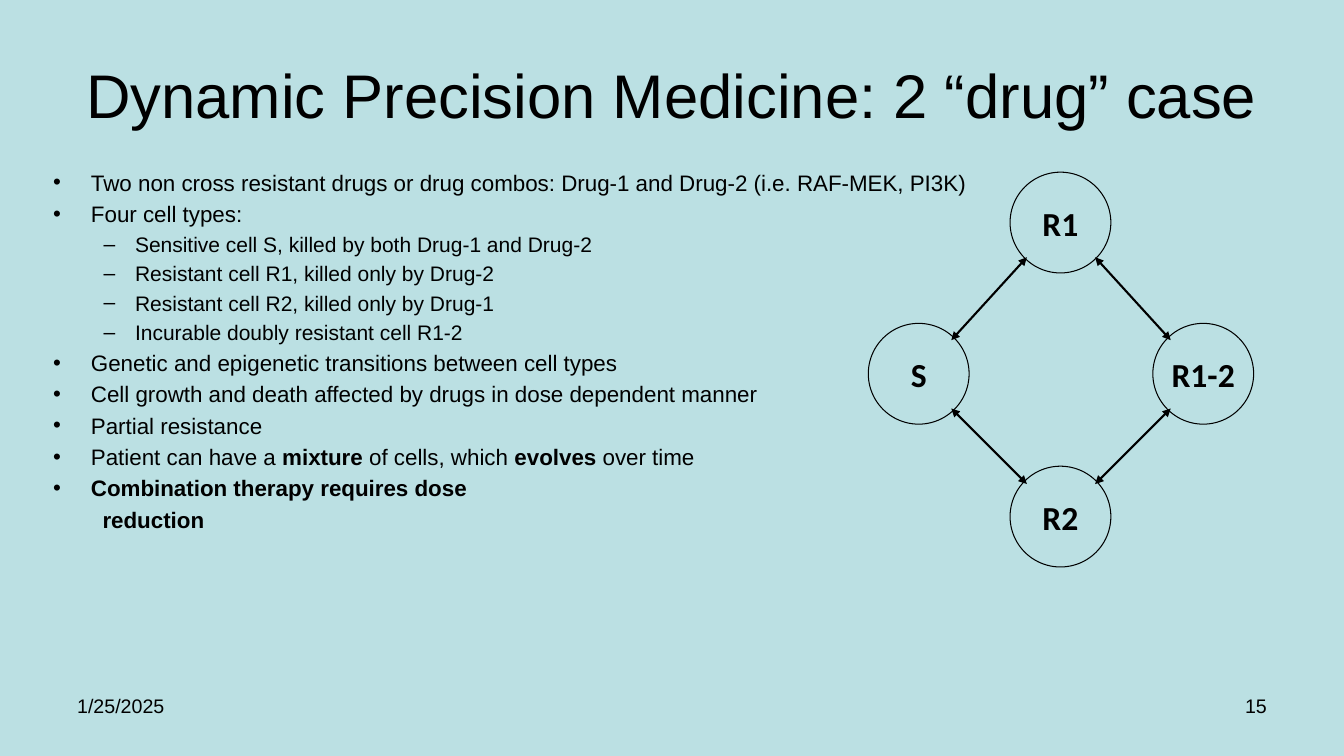
from dataclasses import dataclass

from lxml.etree import SubElement
from pptx import Presentation
from pptx.dml.color import RGBColor
from pptx.enum.shapes import MSO_CONNECTOR, MSO_SHAPE
from pptx.enum.text import MSO_ANCHOR, MSO_AUTO_SIZE, PP_ALIGN
from pptx.oxml.ns import qn
from pptx.shapes.base import BaseShape
from pptx.slide import Slide
from pptx.text.text import Font, TextFrame
from pptx.util import Emu, Pt

BACKGROUND = RGBColor(0xBB, 0xE0, 0xE3)
BLACK = RGBColor(0x00, 0x00, 0x00)
EMU_PER_PX = 9525
CELL_SIZE = 96


@dataclass(frozen=True)
class ListLevel:
    bullet: str
    margin: int
    indent: int
    size: int


@dataclass(frozen=True)
class ListItem:
    """A list line; text between asterisks is bold."""
    text: str
    level: ListLevel


@dataclass(frozen=True)
class Cell:
    label: str
    left: int
    top: int


@dataclass(frozen=True)
class Transition:
    start: tuple[int, int]
    end: tuple[int, int]


@dataclass(frozen=True)
class FooterText:
    text: str
    left: int
    alignment: PP_ALIGN


POINT = ListLevel("•", 36, -36, 16)
SUBPOINT = ListLevel("–", 78, -30, 15)
CONTINUATION = ListLevel("", 47, 0, 16)

TITLE = "Dynamic Precision Medicine: 2 “drug” case"
ITEMS = [
    ListItem("Two non cross resistant drugs or drug combos: "
             "Drug-1 and Drug-2 (i.e. RAF-MEK, PI3K)", POINT),
    ListItem("Four cell types:", POINT),
    ListItem("Sensitive cell S, killed by both Drug-1 and Drug-2", SUBPOINT),
    ListItem("Resistant cell R1, killed only by Drug-2", SUBPOINT),
    ListItem("Resistant cell R2, killed only by Drug-1", SUBPOINT),
    ListItem("Incurable doubly resistant cell R1-2", SUBPOINT),
    ListItem("Genetic and epigenetic transitions between cell types", POINT),
    ListItem("Cell growth and death affected by drugs in dose dependent manner", POINT),
    ListItem("Partial resistance", POINT),
    ListItem("Patient can have a *mixture *of cells, which *evolves *over time", POINT),
    ListItem("*Combination therapy requires dose*", POINT),
    ListItem("*reduction*", CONTINUATION),
]
CELLS = [
    Cell("S", 827, 308),
    Cell("R1", 962, 164),
    Cell("R2", 962, 444),
    Cell("R1-2", 1098, 308),
]
TRANSITIONS = [
    Transition((906, 324), (978, 245)),
    Transition((906, 389), (978, 461)),
    Transition((1043, 461), (1115, 389)),
    Transition((1043, 245), (1115, 324)),
]
FOOTERS = [
    FooterText("1/25/2025", 64, PP_ALIGN.LEFT),
    FooterText("15", 918, PP_ALIGN.RIGHT),
]


def px(length: int) -> Emu:
    return Emu(length * EMU_PER_PX)


def place(shape: BaseShape, left: int, top: int, width: int, height: int) -> None:
    shape.left, shape.top = px(left), px(top)
    shape.width, shape.height = px(width), px(height)


def style_font(font: Font, size: int, name: str = "Arial", bold: bool = False) -> None:
    font.name, font.size, font.bold = name, Pt(size), bold
    font.color.rgb = BLACK


def fill_title(slide: Slide) -> None:
    title = slide.shapes.title
    place(title, 64, 29, 1152, 120)
    frame = title.text_frame
    frame.text = TITLE
    frame.auto_size = MSO_AUTO_SIZE.NONE
    frame.vertical_anchor = MSO_ANCHOR.MIDDLE
    paragraph = frame.paragraphs[0]
    paragraph.alignment = PP_ALIGN.CENTER
    style_font(paragraph.runs[0].font, 44)


def add_item(frame: TextFrame, item: ListItem, first: bool) -> None:
    paragraph = frame.paragraphs[0] if first else frame.add_paragraph()
    level = item.level
    paragraph.level = 1 if level is SUBPOINT else 0
    if first:
        paragraph.space_before = Pt(0)
    properties = paragraph._p.get_or_add_pPr()
    properties.set("marL", str(px(level.margin)))
    properties.set("indent", str(px(level.indent)))
    if level.bullet:
        SubElement(properties, qn("a:buChar")).set("char", level.bullet)
    else:
        SubElement(properties, qn("a:buNone"))
    for index, part in enumerate(item.text.split("*")):
        if part:
            run = paragraph.add_run()
            run.text = part
            style_font(run.font, level.size, bold=index % 2 == 1)


def fill_body(slide: Slide) -> None:
    body = slide.placeholders[1]
    place(body, 41, 156, 1189, 438)
    frame = body.text_frame
    frame.auto_size = MSO_AUTO_SIZE.NONE
    frame.vertical_anchor = MSO_ANCHOR.TOP
    for index, item in enumerate(ITEMS):
        add_item(frame, item, first=index == 0)


def add_cell(slide: Slide, cell: Cell) -> None:
    circle = slide.shapes.add_shape(MSO_SHAPE.OVAL, px(cell.left), px(cell.top),
                                    px(CELL_SIZE), px(CELL_SIZE))
    circle.shadow.inherit = False
    circle.fill.solid()
    circle.fill.fore_color.rgb = BACKGROUND
    circle.line.color.rgb = BLACK
    circle.line.width = Pt(0.75)
    frame = circle.text_frame
    frame.text = cell.label
    frame.word_wrap = False
    frame.vertical_anchor = MSO_ANCHOR.MIDDLE
    paragraph = frame.paragraphs[0]
    paragraph.alignment = PP_ALIGN.CENTER
    style_font(paragraph.runs[0].font, 24, "Calibri", bold=True)


def add_transition(slide: Slide, transition: Transition) -> None:
    """Draw a line with an arrowhead at both ends."""
    points = [px(value) for value in transition.start + transition.end]
    arrow = slide.shapes.add_connector(MSO_CONNECTOR.STRAIGHT, *points)
    arrow.line.color.rgb = BLACK
    arrow.line.width = Pt(1.5)
    line = arrow.line._get_or_add_ln()
    for end in ("a:headEnd", "a:tailEnd"):
        SubElement(line, qn(end)).set("type", "triangle")
    SubElement(arrow._element.spPr, qn("a:effectLst"))


def add_footer(slide: Slide, footer: FooterText) -> None:
    box = slide.shapes.add_textbox(px(footer.left), px(656), px(298), px(50))
    box.text_frame.text = footer.text
    box.text_frame.word_wrap = True
    paragraph = box.text_frame.paragraphs[0]
    paragraph.alignment = footer.alignment
    style_font(paragraph.runs[0].font, 14)


def main() -> None:
    presentation = Presentation()
    presentation.slide_width, presentation.slide_height = px(1280), px(720)
    slide = presentation.slides.add_slide(presentation.slide_layouts[1])
    slide.background.fill.solid()
    slide.background.fill.fore_color.rgb = BACKGROUND
    fill_title(slide)
    fill_body(slide)
    for cell in CELLS:
        add_cell(slide, cell)
    for transition in TRANSITIONS:
        add_transition(slide, transition)
    for footer in FOOTERS:
        add_footer(slide, footer)
    presentation.save("out.pptx")


if __name__ == "__main__":
    main()
